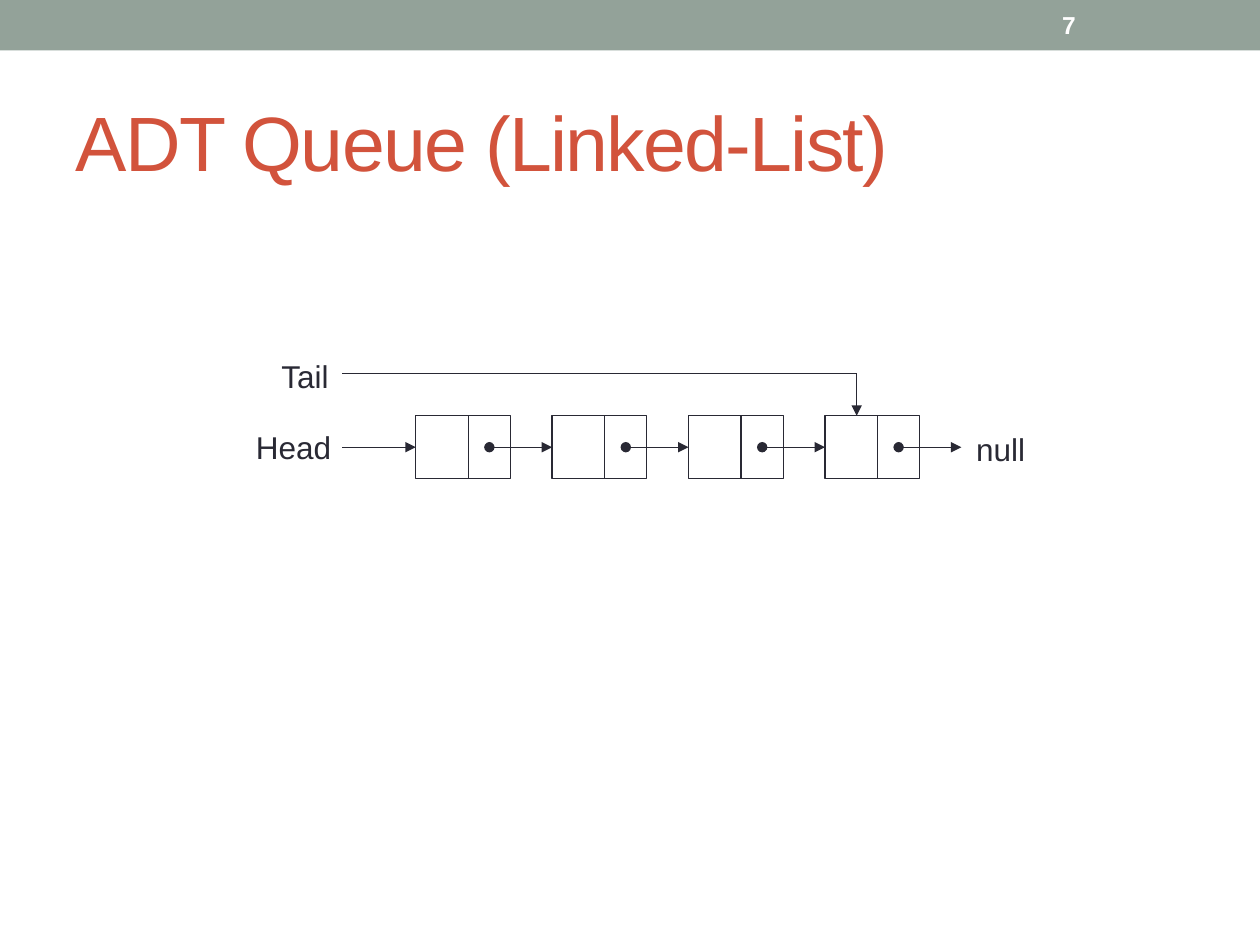
import pptx
import pptx.util
import pptx.dml.color
import pptx.enum.shapes
import pptx.enum.text
import pptx.oxml.ns
import lxml.etree

Cm = pptx.util.Cm
Pt = pptx.util.Pt
qn = pptx.oxml.ns.qn
RECT = pptx.enum.shapes.MSO_SHAPE.RECTANGLE
ALIGN = pptx.enum.text.PP_ALIGN
MIDDLE = pptx.enum.text.MSO_ANCHOR.MIDDLE
SAGE = pptx.dml.color.RGBColor(0x93, 0xA2, 0x99)
RED = pptx.dml.color.RGBColor(0xD2, 0x53, 0x3C)
INK = pptx.dml.color.RGBColor(0x29, 0x29, 0x34)
WHITE = pptx.dml.color.RGBColor(0xFF, 0xFF, 0xFF)


def write(sp, text, size, color, align, wrap):
    tf = sp.text_frame
    tf.word_wrap = wrap
    tf.auto_size = pptx.enum.text.MSO_AUTO_SIZE.NONE
    tf.vertical_anchor = MIDDLE
    p = tf.paragraphs[0]
    p.alignment = align
    r = p.add_run()
    r.text = text
    r.font.name = "Arial"
    r.font.size = Pt(size)
    r.font.color.rgb = color
    return r


def line(shapes, x1, y1, x2, y2, head=None, tail=None):
    sp = shapes.add_connector(pptx.enum.shapes.MSO_CONNECTOR.STRAIGHT,
                              Cm(x1), Cm(y1), Cm(x2), Cm(y2))
    sp.line.color.rgb = INK
    sp.line.width = Pt(0.75)
    ln = sp.line._get_or_add_ln()
    for tag, kind in (("a:headEnd", head), ("a:tailEnd", tail)):
        if kind:
            lxml.etree.SubElement(ln, qn(tag), type=kind)
    lxml.etree.SubElement(sp._element.spPr, qn("a:effectLst"))


prs = pptx.Presentation()
prs.slide_width = Cm(25.4)
prs.slide_height = Cm(19.05)
s = prs.slides.add_slide(prs.slide_layouts[5])

band = s.shapes.add_shape(RECT, 0, 0, prs.slide_width, Cm(1.02))
band.shadow.inherit = False
band.fill.solid()
band.fill.fore_color.rgb = SAGE
band.line.fill.background()

title = s.shapes.title
title.left, title.top, title.width, title.height = Cm(1.27), Cm(1.47), Cm(22.86), Cm(2.74)
r = write(title, "ADT Queue (Linked-List)", 44, RED, ALIGN.LEFT, True)
r.font._element.set("spc", "-100")

number = s.shapes.add_textbox(Cm(21.16), Cm(0.05), Cm(2.97), Cm(0.91))
r = write(number, "7", 14, WHITE, ALIGN.LEFT, True)
r.font.bold = True

queue = s.shapes.add_group_shape().shapes
left, top, pitch = 8.38, 8.38, 2.75
data_w, link_w, node_h = 1.06, 0.85, 1.27
mid = top + node_h / 2
pointer_x, tail_y = 6.9, 7.53

for i in range(4):
    x = left + i * pitch
    for cell_x, cell_w in ((x, data_w), (x + data_w, link_w)):
        sp = queue.add_shape(RECT, Cm(cell_x), Cm(top), Cm(cell_w), Cm(node_h))
        sp.shadow.inherit = False
        sp.fill.background()
        sp.line.color.rgb = INK
        sp.line.width = Pt(0.75)
    link_x = x + data_w + link_w / 2
    line(queue, link_x, mid, x + pitch, mid, "oval", "triangle")

last_x = left + 3 * pitch + 0.64
line(queue, pointer_x, mid, left, mid, tail="triangle")
line(queue, pointer_x, tail_y, last_x, tail_y)
line(queue, last_x, tail_y, last_x, top, tail="triangle")

for text, x, y, w in (("Head", 4.65, 8.48, 2.54),
                      ("Tail", 4.88, 7.06, 2.54),
                      ("null", 19.33, 8.53, 1.68)):
    sp = queue.add_textbox(Cm(x), Cm(y), Cm(w), Cm(1.05))
    write(sp, text, 18, INK, ALIGN.CENTER, False)

prs.save("out.pptx")
